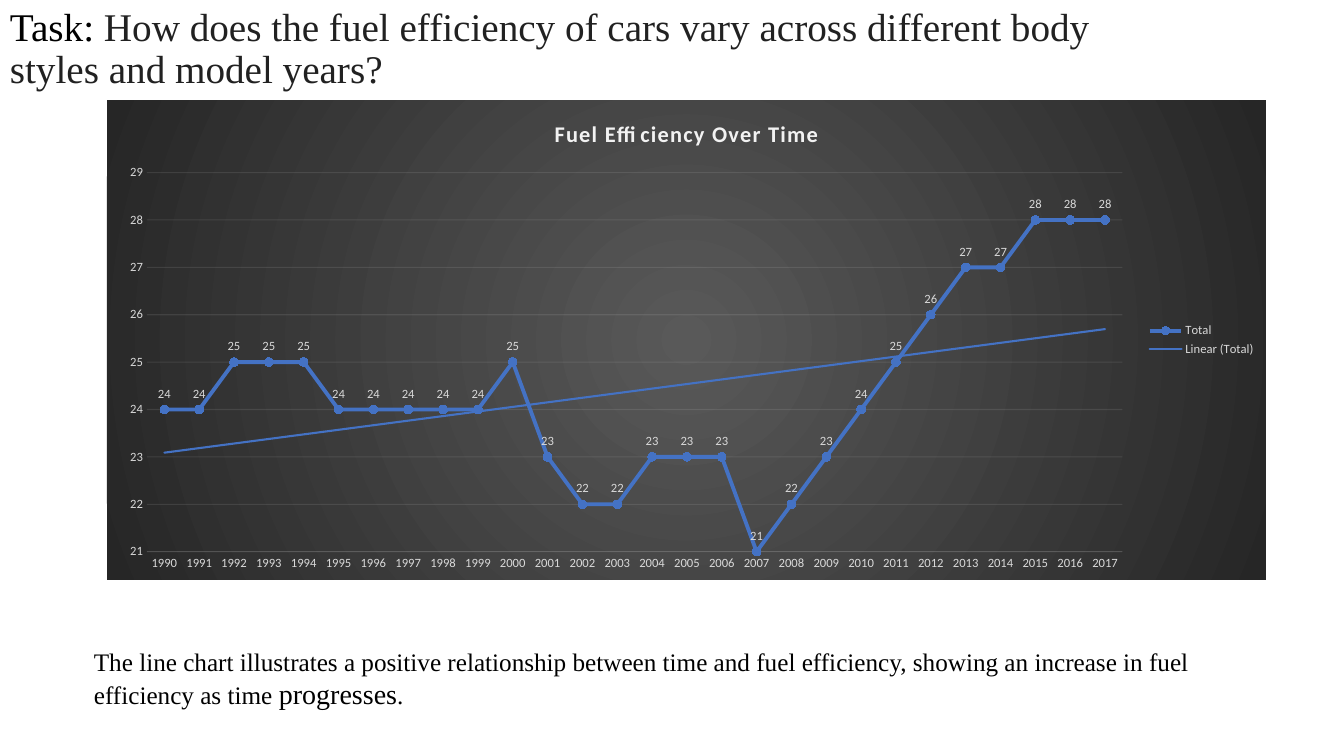
from lxml import etree
from pptx import Presentation
from pptx.chart.data import CategoryChartData
from pptx.dml.color import RGBColor
from pptx.enum.chart import (XL_CHART_TYPE, XL_LABEL_POSITION, XL_LEGEND_POSITION,
                             XL_MARKER_STYLE, XL_TICK_MARK)
from pptx.enum.text import MSO_ANCHOR
from pptx.oxml import parse_xml
from pptx.oxml.ns import nsdecls, qn
from pptx.util import Pt

LINE = XL_CHART_TYPE.LINE_MARKERS
ABOVE = XL_LABEL_POSITION.ABOVE
RIGHT = XL_LEGEND_POSITION.RIGHT
ROUND = XL_MARKER_STYLE.CIRCLE
NONE = XL_TICK_MARK.NONE
TOP, MIDDLE = MSO_ANCHOR.TOP, MSO_ANCHOR.MIDDLE

SCALE = 914400 / 100.8
HEX = {"black": "000000", "ink": "212121", "pale": "F2F2F2", "label": "D9D9D9",
       "blue": "4472C4", "dot": "3E70CA", "mid": "595959", "edge": "262626"}
SERIF, SANS = "Times New Roman", "Calibri"

YEARS = [str(year) for year in range(1990, 2018)]
MPG = [24, 24, 25, 25, 25, 24, 24, 24, 24, 24, 25, 23, 22, 22,
       23, 23, 23, 21, 22, 23, 24, 25, 26, 27, 27, 28, 28, 28]


def px(*nums):
    return [round(num * SCALE) for num in nums]


def rgb(name):
    return RGBColor.from_string(HEX[name])


class Page:
    def __init__(self, deck):
        self.slide = deck.slides.add_slide(deck.slide_layouts[6])

    def style(self, font, size, color, face=SANS):
        font.size, font.name = Pt(size), face
        font.color.rgb = rgb(color)

    def text(self, box, runs, anchor=TOP, space=1.0):
        frame = self.slide.shapes.add_textbox(*px(*box)).text_frame
        frame.word_wrap, frame.vertical_anchor = True, anchor
        para = frame.paragraphs[0]
        para.line_spacing = space
        para.font.name = SERIF
        for words, size, color in runs:
            run = para.add_run()
            run.text = words
            self.style(run.font, size, color, SERIF)

    def faint(self, line):
        line.width = Pt(0.75)
        line.color.rgb = rgb("pale")
        tint = line.fill._xPr.find(".//" + qn("a:srgbClr"))
        etree.SubElement(tint, qn("a:alpha"), val="10000")

    def axis(self, axis):
        axis.major_tick_mark = axis.minor_tick_mark = NONE
        self.style(axis.tick_labels.font, 9, "label")

    def glow(self, chart):
        chart._chartSpace.find(qn("c:chart")).addnext(parse_xml(
            f'<c:spPr {nsdecls("c", "a")}><a:gradFill><a:gsLst>'
            f'<a:gs pos="0"><a:srgbClr val="{HEX["mid"]}"/></a:gs>'
            f'<a:gs pos="100000"><a:srgbClr val="{HEX["edge"]}"/></a:gs></a:gsLst>'
            '<a:path path="circle"><a:fillToRect l="50000" t="50000" r="50000" b="50000"/>'
            '</a:path></a:gradFill><a:ln><a:noFill/></a:ln></c:spPr>'))

    def trend(self, series):
        series._element.find(qn("c:cat")).addprevious(parse_xml(
            f'<c:trendline {nsdecls("c", "a")}><c:spPr><a:ln w="19050" cap="rnd">'
            f'<a:solidFill><a:srgbClr val="{HEX["blue"]}"/></a:solidFill></a:ln></c:spPr>'
            '<c:trendlineType val="linear"/><c:dispRSqr val="0"/><c:dispEq val="0"/>'
            '</c:trendline>'))

    def chart(self, box, title, name, cats, vals):
        data = CategoryChartData(number_format="0")
        data.categories = cats
        data.add_series(name, vals)
        chart = self.slide.shapes.add_chart(LINE, *px(*box), data).chart
        self.style(chart.font, 10, "black")
        self.glow(chart)

        # Title and legend
        para = chart.chart_title.text_frame.paragraphs[0]
        run = para.add_run()
        run.text = title
        self.style(run.font, 16, "pale")
        run.font.bold = True
        run.font._rPr.set("spc", "100")
        chart.chart_title.include_in_layout = False
        chart.has_legend = True
        chart.legend.position = RIGHT
        chart.legend.include_in_layout = False
        self.style(chart.legend.font, 9, "label")

        # Axes
        years, scale = chart.category_axis, chart.value_axis
        self.axis(years)
        self.faint(years.format.line)
        self.axis(scale)
        scale.format.line.fill.background()
        scale.minimum_scale, scale.maximum_scale, scale.major_unit = 21, 29, 1
        scale.tick_labels.number_format = "0"
        scale.tick_labels.number_format_is_linked = False
        self.faint(scale.major_gridlines.format.line)

        # Series, markers, labels and trend
        plot = chart.plots[0]
        plot.vary_by_categories = False
        series = plot.series[0]
        series.smooth = False
        series.format.line.width = Pt(2.75)
        series.format.line.color.rgb = rgb("blue")
        mark = series.marker
        mark.style, mark.size = ROUND, 6
        mark.format.fill.solid()
        mark.format.fill.fore_color.rgb = rgb("dot")
        mark.format.line.color.rgb = rgb("blue")
        labels = series.data_labels
        labels.show_value, labels.position = True, ABOVE
        labels.number_format, labels.number_format_is_linked = "0", False
        self.style(labels.font, 9, "label")
        self.trend(series)


def main():
    deck = Presentation()
    deck.slide_width, deck.slide_height = px(1344, 756)
    page = Page(deck)

    # Question
    page.text((0, 0, 1159, 100), [
        ("Task: ", 28, "black"),
        ("How does the fuel efficiency of cars vary across different body styles "
         "and model years?", 28, "ink")], MIDDLE, 0.9)

    # Chart
    page.chart((107, 100, 1159, 480), "Fuel Efficiency Over Time", "Total", YEARS, MPG)

    # Finding
    page.text((84, 641, 1183, 75), [
        ("The line chart illustrates a positive relationship between time and fuel "
         "efficiency, showing an increase in fuel efficiency as time ", 18, "black"),
        ("progresses", 20, "black"),
        (".", 18, "black")])

    deck.save("out.pptx")


if __name__ == "__main__":
    main()
